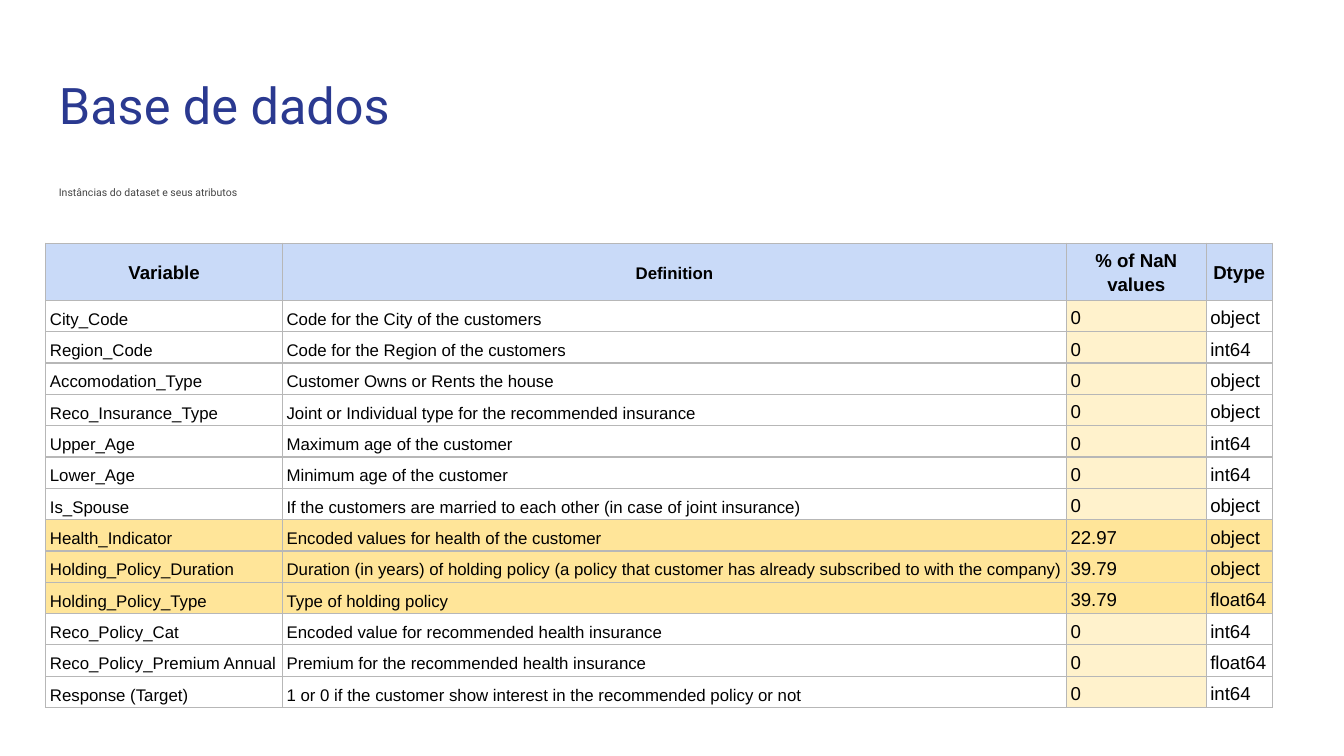
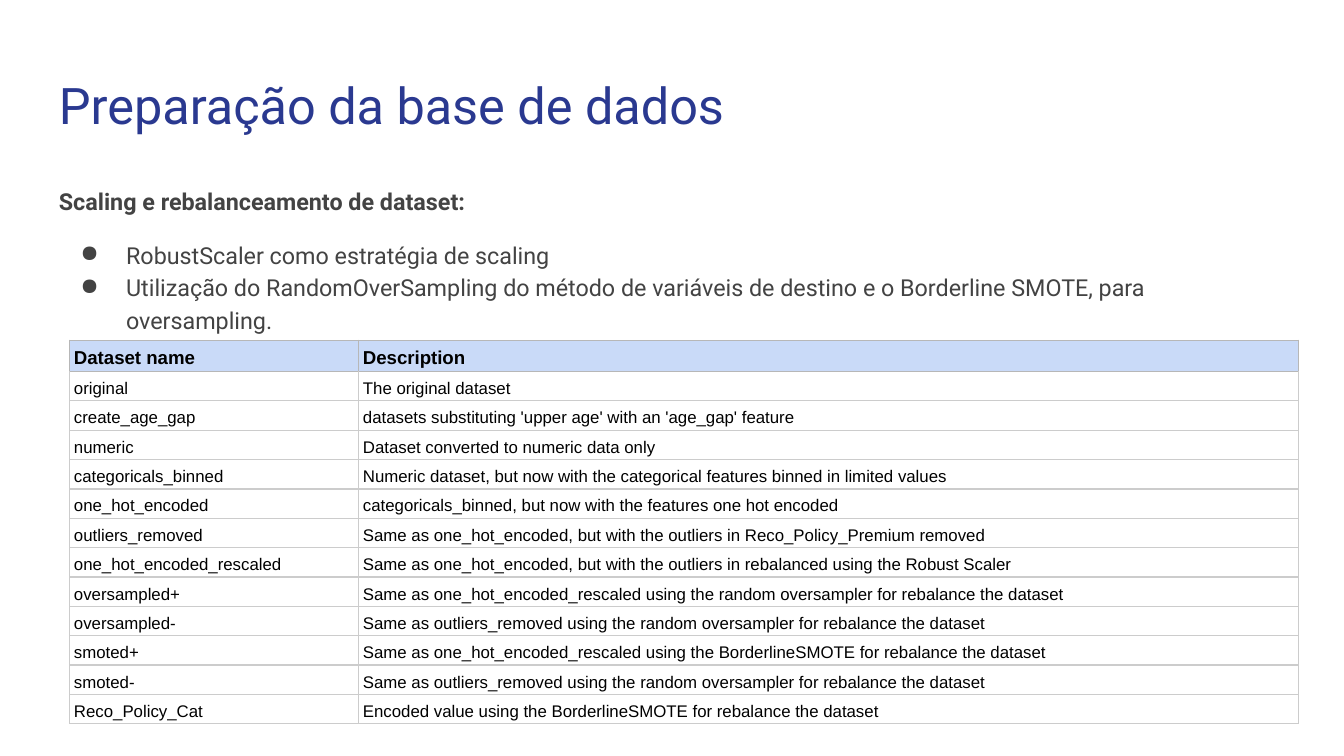
from lxml import etree
from pptx import Presentation
from pptx.dml.color import RGBColor
from pptx.enum.text import MSO_ANCHOR, PP_ALIGN
from pptx.oxml.ns import qn
from pptx.util import Pt

MIDDLE, BOTTOM = MSO_ANCHOR.MIDDLE, MSO_ANCHOR.BOTTOM
LEFT, CENTER = PP_ALIGN.LEFT, PP_ALIGN.CENTER

NAVY = RGBColor(0x2A, 0x39, 0x90)
CHARCOAL = RGBColor(0x43, 0x43, 0x43)
BLACK = RGBColor(0, 0, 0)
WHITE = RGBColor(0xFF, 0xFF, 0xFF)
HEADER_BLUE = RGBColor(0xC9, 0xDA, 0xF8)
PALE_YELLOW = RGBColor(0xFF, 0xF2, 0xCC)
YELLOW = RGBColor(0xFF, 0xE5, 0x99)
GRAY = RGBColor(0xB7, 0xB7, 0xB7)
LIGHT_GRAY = RGBColor(0xCC, 0xCC, 0xCC)

TITLE_FONT = {"name": "Roboto", "size": Pt(27)}
CAPTION_FONT = {"name": "Roboto", "size": Pt(5.6)}
BODY_FONT = {"name": "Roboto", "size": Pt(12.5), "bold": False}
HEADING_FONT = {**BODY_FONT, "bold": True}

VARIABLES = [
    ("Variable", "Definition", "% of NaN values", "Dtype"),
    ("City_Code", "Code for the City of the customers", "0", "object"),
    ("Region_Code", "Code for the Region of the customers", "0", "int64"),
    ("Accomodation_Type", "Customer Owns or Rents the house", "0", "object"),
    ("Reco_Insurance_Type", "Joint or Individual type for the recommended insurance", "0", "object"),
    ("Upper_Age", "Maximum age of the customer", "0", "int64"),
    ("Lower_Age", "Minimum age of the customer", "0", "int64"),
    ("Is_Spouse", "If the customers are married to each other (in case of joint insurance)", "0", "object"),
    ("Health_Indicator", "Encoded values for health of the customer", "22.97", "object"),
    ("Holding_Policy_Duration",
     "Duration (in years) of holding policy (a policy that customer has already subscribed to with the company)",
     "39.79", "object"),
    ("Holding_Policy_Type", "Type of holding policy", "39.79", "float64"),
    ("Reco_Policy_Cat", "Encoded value for recommended health insurance", "0", "int64"),
    ("Reco_Policy_Premium Annual", "Premium for the recommended health insurance", "0", "float64"),
    ("Response (Target)", "1 or 0 if the customer show interest in the recommended policy or not", "0", "int64"),
]
DATASETS = [
    ("Dataset name", "Description"),
    ("original", "The original dataset"),
    ("create_age_gap", "datasets substituting 'upper age' with an 'age_gap' feature"),
    ("numeric", "Dataset converted to numeric data only"),
    ("categoricals_binned", "Numeric dataset, but now with the categorical features binned in limited values"),
    ("one_hot_encoded", "categoricals_binned, but now with the features one hot encoded"),
    ("outliers_removed", "Same as one_hot_encoded, but with the outliers in Reco_Policy_Premium removed"),
    ("one_hot_encoded_rescaled",
     "Same as one_hot_encoded, but with the outliers in rebalanced using the Robust Scaler"),
    ("oversampled+", "Same as one_hot_encoded_rescaled using the random oversampler for rebalance the dataset"),
    ("oversampled-", "Same as outliers_removed using the random oversampler for rebalance the dataset"),
    ("smoted+", "Same as one_hot_encoded_rescaled using the BorderlineSMOTE for rebalance the dataset"),
    ("smoted-", "Same as outliers_removed using the random oversampler for rebalance the dataset"),
    ("Reco_Policy_Cat", "Encoded value using the BorderlineSMOTE for rebalance the dataset"),
]


def add_text(slide, box, lines, color):
    """Add a text box; each line is (text, font values, paragraph values, bulleted)."""
    frame = slide.shapes.add_textbox(*map(Pt, box)).text_frame
    frame.word_wrap = True
    for side in ("left", "right", "top", "bottom"):
        setattr(frame, f"margin_{side}", Pt(7.2))
    for number, (text, font, layout, bulleted) in enumerate(lines):
        paragraph = frame.add_paragraph() if number else frame.paragraphs[0]
        if bulleted:
            properties = paragraph._p.get_or_add_pPr()
            properties.set("marL", str(Pt(36)))
            properties.set("indent", str(Pt(-24.5)))
            bullet_color = etree.SubElement(properties, qn("a:buClr"))
            etree.SubElement(bullet_color, qn("a:srgbClr"), val=str(color))
            etree.SubElement(properties, qn("a:buChar"), char="●")
        for key, value in layout.items():
            setattr(paragraph, key, value)
        run = paragraph.add_run()
        run.text = text
        run.font.color.rgb = color
        for key, value in font.items():
            setattr(run.font, key, value)


def style_cell(cell, text, size, fill, edges, bold=False, align=LEFT, anchor=BOTTOM):
    """Fill in a cell; edges holds the left, right, top and bottom line colours."""
    properties = cell._tc.get_or_add_tcPr()
    for side, color in zip("LRTB", edges):
        line = etree.SubElement(properties, qn(f"a:ln{side}"), w=str(Pt(0.75)))
        solid = etree.SubElement(line, qn("a:solidFill"))
        etree.SubElement(solid, qn("a:srgbClr"), val=str(color))
    cell.fill.solid()
    cell.fill.fore_color.rgb = fill
    cell.margin_left = cell.margin_right = Pt(2.25)
    cell.margin_top = cell.margin_bottom = Pt(1.5)
    cell.vertical_anchor = anchor
    paragraph = cell.text_frame.paragraphs[0]
    paragraph.alignment = align
    paragraph.line_spacing = 1.15
    run = paragraph.add_run()
    run.text = text
    run.font.color.rgb = BLACK
    for key, value in {"name": "Arial", "size": Pt(size), "bold": bold}.items():
        setattr(run.font, key, value)


prs = Presentation()
prs.slide_width, prs.slide_height = Pt(720), Pt(405)

# Titles and tables
tables = []
for title, left, top, widths, header_height, row_height, rows in (
    ("Base de dados", 24.5, 130.3, (126.8, 420, 74.9, 35.4), 27.4, 15.84, VARIABLES),
    ("Preparação da base de dados", 37.4, 182.2, (154.8, 503.3), 10.8, 15.75, DATASETS),
):
    slide = prs.slides.add_slide(prs.slide_layouts[6])
    add_text(slide, (24.5, 32.4, 671, 47.5), [(title, TITLE_FONT, {}, False)], NAVY)
    height = header_height + row_height * (len(rows) - 1)
    table = slide.shapes.add_table(
        len(rows), len(widths), Pt(left), Pt(top), Pt(sum(widths)), Pt(height)).table
    table.first_row = table.horz_banding = False
    for column, width in zip(table.columns, widths):
        column.width = Pt(width)
    for number, row in enumerate(table.rows):
        row.height = Pt(row_height if number else header_height)
    tables.append(table)
variable_table, dataset_table = tables
variable_slide, dataset_slide = prs.slides

# Variables: rows with missing values are highlighted
add_text(variable_slide, (24.5, 97.2, 666.7, 33.1), [
    ("Instâncias do dataset e seus atributos", CAPTION_FONT,
     {"line_spacing": 0.95, "space_after": Pt(12)}, False),
], CHARCOAL)
incomplete = [r for r, row in enumerate(VARIABLES) if r and row[2] != "0"]
for r, row in enumerate(VARIABLES):
    for c, text in enumerate(row):
        cell = variable_table.cell(r, c)
        if r == 0:
            style_cell(cell, text, 9 if c == 1 else 10, HEADER_BLUE, [GRAY] * 4, True, CENTER, MIDDLE)
            continue
        fill = YELLOW if r in incomplete else PALE_YELLOW if c == 2 else WHITE
        edges = [GRAY] * 4
        if c == 2 and r in incomplete:
            edges[2] = LIGHT_GRAY if r - 1 in incomplete else GRAY
            edges[3] = LIGHT_GRAY if r + 1 in incomplete else GRAY
        style_cell(cell, text, 9 if c < 2 else 10, fill, edges)

# Datasets
add_text(dataset_slide, (24.5, 90.7, 671, 262.8), [
    ("Scaling e rebalanceamento de dataset:", HEADING_FONT, {"line_spacing": 1.15}, False),
    ("RobustScaler como estratégia de scaling", BODY_FONT,
     {"line_spacing": 1.15, "space_before": Pt(12)}, True),
    ("Utilização do RandomOverSampling do método de variáveis de destino e o Borderline SMOTE, "
     "para oversampling.", BODY_FONT, {"line_spacing": 1.15}, True),
], CHARCOAL)
for r, row in enumerate(DATASETS):
    for c, text in enumerate(row):
        cell = dataset_table.cell(r, c)
        if r == 0:
            style_cell(cell, text, 10, HEADER_BLUE, [GRAY] * 4, True)
        else:
            top_edge = GRAY if r == 1 else LIGHT_GRAY
            style_cell(cell, text, 9, WHITE, [LIGHT_GRAY, LIGHT_GRAY, top_edge, LIGHT_GRAY])

prs.save("out.pptx")
